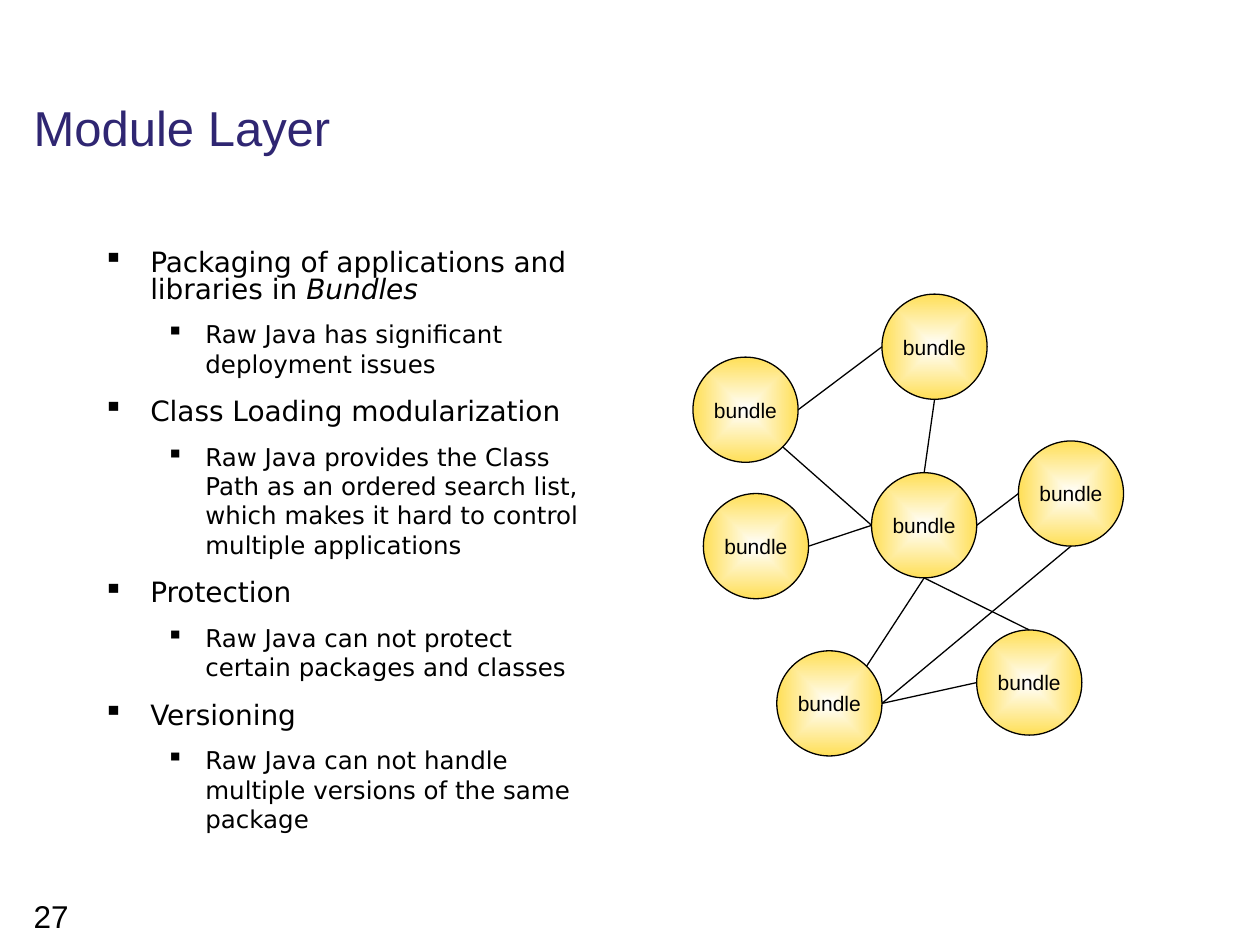
from dataclasses import dataclass
from math import cos, radians, sin

from lxml import etree
from pptx import Presentation
from pptx import util as u
from pptx.dml.color import RGBColor
from pptx.enum import shapes, text
from pptx.oxml.ns import qn
from pptx.util import Cm

BLACK = RGBColor(0x00, 0x00, 0x00)
WHITE = RGBColor(0xFF, 0xFF, 0xFF)
INDIGO = RGBColor(0x2F, 0x26, 0x72)
GOLD = RGBColor(0xFF, 0xDF, 0x57)
SANS, BODY_FONT = "Arial", "DejaVu Sans"
DIAMETER = 2.12
LINE_WIDTH = u.Pt(0.75)

# Angles of the attachment points, clockwise from the right-hand side
RIGHT, LOWER_RIGHT, BOTTOM, LEFT, TOP, UPPER_RIGHT = 0, 45, 90, 180, 270, 315


@dataclass(frozen=True)
class Bundle:
    left: float
    top: float

    def point(self, angle):
        """Return the point of the rim at the angle, as lengths."""
        radius = DIAMETER / 2
        return (Cm(self.left + radius + radius * cos(radians(angle))),
                Cm(self.top + radius + radius * sin(radians(angle))))


@dataclass(frozen=True)
class Link:
    start: str
    start_angle: int
    end: str
    end_angle: int


@dataclass(frozen=True)
class BulletStyle:
    margin: float
    hanging: float
    size: float
    before: float
    after: float
    line_spacing: float


BUNDLES = {
    "upper left": Bundle(13.97, 7.2),
    "centre": Bundle(17.57, 9.53),
    "left": Bundle(14.18, 9.95),
    "lower right": Bundle(19.69, 12.7),
    "top": Bundle(17.78, 5.93),
    "lower left": Bundle(15.66, 13.12),
    "right": Bundle(20.53, 8.89),
}

LINKS = [
    Link("left", RIGHT, "centre", LEFT),
    Link("lower left", UPPER_RIGHT, "centre", BOTTOM),
    Link("lower left", RIGHT, "lower right", LEFT),
    Link("lower right", TOP, "centre", BOTTOM),
    Link("lower left", RIGHT, "right", BOTTOM),
    Link("centre", RIGHT, "right", LEFT),
    Link("centre", TOP, "top", BOTTOM),
    Link("upper left", RIGHT, "top", LEFT),
    Link("upper left", LOWER_RIGHT, "centre", LEFT),
]

LEVELS = [
    BulletStyle(0.95, 0.95, 16, 10, 4, 0.8),
    BulletStyle(2.06, 0.79, 14, 4.4, 2.6, 1.0),
]

# Level, plain text, closing words in italics
POINTS = [
    (0, "Packaging of applications and libraries in ", "Bundles"),
    (1, "Raw Java has significant deployment issues", ""),
    (0, "Class Loading modularization", ""),
    (1, "Raw Java provides the Class Path as an ordered search list, "
        "which makes it hard to control multiple applications", ""),
    (0, "Protection", ""),
    (1, "Raw Java can not protect certain packages and classes", ""),
    (0, "Versioning", ""),
    (1, "Raw Java can not handle multiple versions of the same package", ""),
]


def set_font(paragraph, name: str, size: float, color: RGBColor) -> None:
    font = paragraph.font
    font.name, font.size, font.color.rgb = name, u.Pt(size), color


def add_text_frame(slide, left: float, top: float, width: float, height: float):
    frame = slide.shapes.add_textbox(Cm(left), Cm(top), Cm(width), Cm(height)).text_frame
    frame.word_wrap = True
    return frame


def add_bullet(paragraph, style: BulletStyle) -> None:
    properties = paragraph._p.get_or_add_pPr()
    properties.set("marL", str(Cm(style.margin)))
    properties.set("indent", str(-Cm(style.hanging)))
    color = etree.SubElement(properties, qn("a:buClr"))
    etree.SubElement(color, qn("a:srgbClr"), val=str(BLACK))
    etree.SubElement(properties, qn("a:buChar"), char="▪")


def add_points(slide) -> None:
    frame = add_text_frame(slide, 1.83, 4.93, 10.54, 12.52)
    for index, (level, plain, italic) in enumerate(POINTS):
        style = LEVELS[level]
        paragraph = frame.add_paragraph() if index else frame.paragraphs[0]
        paragraph.level = level
        add_bullet(paragraph, style)
        set_font(paragraph, BODY_FONT, style.size, BLACK)
        paragraph.line_spacing = style.line_spacing
        paragraph.space_before = u.Pt(style.before if index else 0)
        paragraph.space_after = u.Pt(style.after)
        paragraph.add_run().text = plain
        if italic:
            run = paragraph.add_run()
            run.text, run.font.italic = italic, True


def fill_from_centre(shape, inner: RGBColor, outer: RGBColor) -> None:
    """Fill with a rectangular gradient that runs outwards from the middle."""
    shape.fill.gradient()
    for stop, position, color in zip(shape.fill.gradient_stops, (0, 1), (inner, outer)):
        stop.position, stop.color.rgb = position, color
    gradient = shape._element.spPr.find(qn("a:gradFill"))
    path = etree.Element(qn("a:path"), path="rect")
    etree.SubElement(path, qn("a:fillToRect"), l="50000", t="50000", r="50000", b="50000")
    gradient.replace(gradient.find(qn("a:lin")), path)


def add_bundle(slide, bundle: Bundle) -> None:
    shape = slide.shapes.add_shape(shapes.MSO_SHAPE.OVAL, Cm(bundle.left), Cm(bundle.top),
                                   Cm(DIAMETER), Cm(DIAMETER))
    shape.shadow.inherit = False
    fill_from_centre(shape, WHITE, GOLD)
    shape.line.color.rgb, shape.line.width = BLACK, LINE_WIDTH
    frame = shape.text_frame
    frame.word_wrap = False
    frame.vertical_anchor = text.MSO_ANCHOR.MIDDLE
    paragraph = frame.paragraphs[0]
    paragraph.text = "bundle"
    paragraph.alignment = text.PP_ALIGN.CENTER
    set_font(paragraph, SANS, 12, BLACK)


def add_link(slide, link: Link) -> None:
    connector = slide.shapes.add_connector(
        shapes.MSO_CONNECTOR.STRAIGHT,
        *BUNDLES[link.start].point(link.start_angle),
        *BUNDLES[link.end].point(link.end_angle))
    connector.line.color.rgb, connector.line.width = BLACK, LINE_WIDTH
    etree.SubElement(connector._element.spPr, qn("a:effectLst"))


def main() -> None:
    presentation = Presentation()
    presentation.slide_width, presentation.slide_height = Cm(25.4), Cm(19.05)
    slide = presentation.slides.add_slide(presentation.slide_layouts[6])

    number = add_text_frame(slide, 0.43, 17.96, 2.79, 0.89).paragraphs[0]
    number.text = "27"
    set_font(number, SANS, 18, BLACK)

    title_frame = add_text_frame(slide, 0.43, 1.9, 22.91, 1.4)
    title_frame.vertical_anchor = text.MSO_ANCHOR.BOTTOM
    title = title_frame.paragraphs[0]
    title.text, title.line_spacing = "Module Layer", 0.9
    set_font(title, SANS, 28, INDIGO)

    add_points(slide)
    for bundle in BUNDLES.values():
        add_bundle(slide, bundle)
    for link in LINKS:
        add_link(slide, link)

    presentation.save("out.pptx")


if __name__ == "__main__":
    main()
